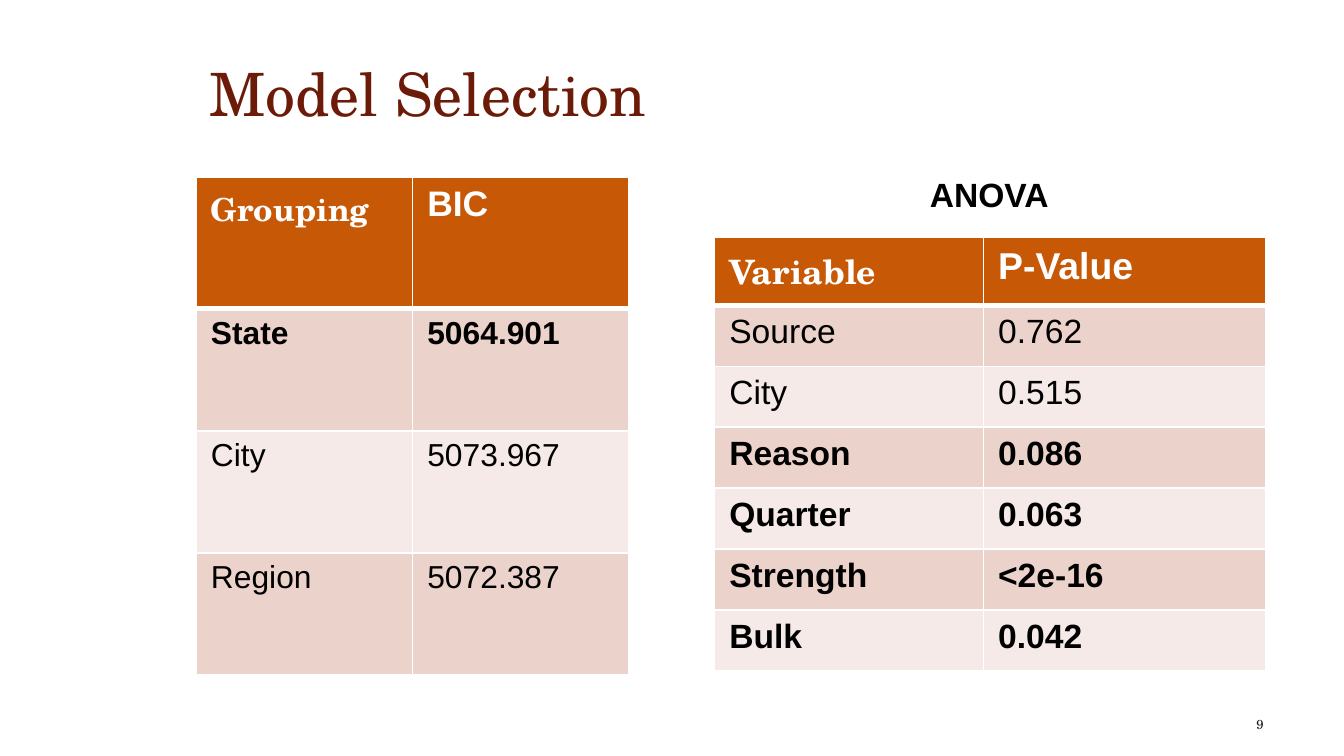
"""Build the Model Selection slide: a BIC table beside an ANOVA table."""
from lxml.etree import SubElement
from pptx import Presentation
from pptx.dml.color import RGBColor as Color
from pptx.enum.text import MSO_ANCHOR as Anchor, MSO_AUTO_SIZE as Fit, PP_ALIGN as Align
from pptx.oxml.ns import qn
from pptx.util import Inches, Pt

COLORS = {
    "title": "6C1B08", "header": "C75806", "odd": "EBD2CB", "even": "F5EAE7",
    "white": "FFFFFF", "black": "000000", "number": "1C1C1C",
}
SERIF, SANS = "TeX Gyre Schola", "Arial"

deck = Presentation()
deck.slide_width = Inches(10)
deck.slide_height = deck.slide_width * 9 // 16
page = deck.slides.add_slide(deck.slide_layouts[6])
column, row = deck.slide_width / 100, deck.slide_height / 100


def write(frame, text, color, **font):
    """Put one formatted span in the frame's first paragraph and return the paragraph."""
    para = frame.paragraphs[0]
    span = para.add_run()
    span.text = text
    span.font.color.rgb = Color.from_string(COLORS[color])
    for name, value in font.items():
        setattr(span.font, name, value)
    return para


def add_border(cell, side, points):
    """Draw a white line on one side of a cell."""
    properties = cell._tc.get_or_add_tcPr()
    line = SubElement(properties, qn(f"a:ln{side}"), w=str(Pt(points)))
    fill = SubElement(line, qn("a:solidFill"))
    SubElement(fill, qn("a:srgbClr"), val=COLORS["white"])


tables = [
    {
        "place": (14.6, 23.47), "widths": (16.1, 16.1), "heights": (17.4, 16.15),
        "sizes": (17, 19, 17), "inset": 0.05, "bold": {"State"},
        "rows": [("Grouping", "BIC"), ("State", "5064.901"), ("City", "5073.967"),
                 ("Region", "5072.387")],
    },
    {
        "place": (53.17, 31.4), "widths": (20, 21), "heights": (8.65, 8.06),
        "sizes": (18, 20, 18), "inset": 0.06,
        "bold": {"Reason", "Quarter", "Strength", "Bulk"},
        "rows": [("Variable", "P-Value"), ("Source", "0.762"), ("City", "0.515"),
                 ("Reason", "0.086"), ("Quarter", "0.063"), ("Strength", "<2e-16"),
                 ("Bulk", "0.042")],
    },
]

for data in tables:
    left, top = data["place"]
    header_height, body_height = data["heights"]
    height = header_height + body_height * (len(data["rows"]) - 1)
    grid = page.shapes.add_table(
        len(data["rows"]), 2, int(left * column), int(top * row),
        int(sum(data["widths"]) * column), int(height * row)).table
    for index, width in enumerate(data["widths"]):
        grid.columns[index].width = int(width * column)
    for level, texts in enumerate(data["rows"]):
        is_header = level == 0
        grid.rows[level].height = int((header_height if is_header else body_height) * row)
        band = "header" if is_header else "odd" if level % 2 else "even"
        for index, text in enumerate(texts):
            cell = grid.cell(level, index)
            margins = {"margin_left": 0.11, "margin_right": 0.11,
                       "margin_top": data["inset"], "margin_bottom": data["inset"]}
            for name, value in margins.items():
                setattr(cell, name, Inches(value))
            for side in "LRTB":
                meets_header = (level, side) in {(0, "B"), (1, "T")}
                add_border(cell, side, 3 if meets_header else 1)
            cell.fill.solid()
            cell.fill.fore_color.rgb = Color.from_string(COLORS[band])
            write(cell.text_frame, text, "white" if is_header else "black",
                  name=SERIF if is_header and index == 0 else SANS,
                  size=Pt(data["sizes"][index if is_header else 2]),
                  bold=is_header or texts[0] in data["bold"])

labels = [
    {
        "text": "Model Selection", "place": (14.6, 3.9, 80.3, 16.7), "color": "title",
        "font": {"name": SERIF, "size": Pt(32)},
        "frame": {"word_wrap": True, "vertical_anchor": Anchor.MIDDLE}, "para": {},
    },
    {
        "text": "9", "place": (71.7, 94.14, 23.3, 3.9), "color": "number",
        "font": {"name": SERIF, "size": Pt(7)}, "frame": {"word_wrap": True},
        "para": {"alignment": Align.RIGHT, "line_spacing": 0.9, "space_after": Pt(6)},
    },
    {
        "text": "ANOVA", "place": (68.2, 22.2, 10.9, 7.1), "color": "black",
        "font": {"name": SANS, "size": Pt(18), "bold": True},
        "frame": {"word_wrap": False, "auto_size": Fit.SHAPE_TO_FIT_TEXT}, "para": {},
    },
]

for label in labels:
    left, top, width, height = label["place"]
    box = page.shapes.add_textbox(
        int(left * column), int(top * row), int(width * column), int(height * row))
    for name, value in label["frame"].items():
        setattr(box.text_frame, name, value)
    para = write(box.text_frame, label["text"], label["color"], **label["font"])
    for name, value in label["para"].items():
        setattr(para, name, value)

deck.save("out.pptx")
